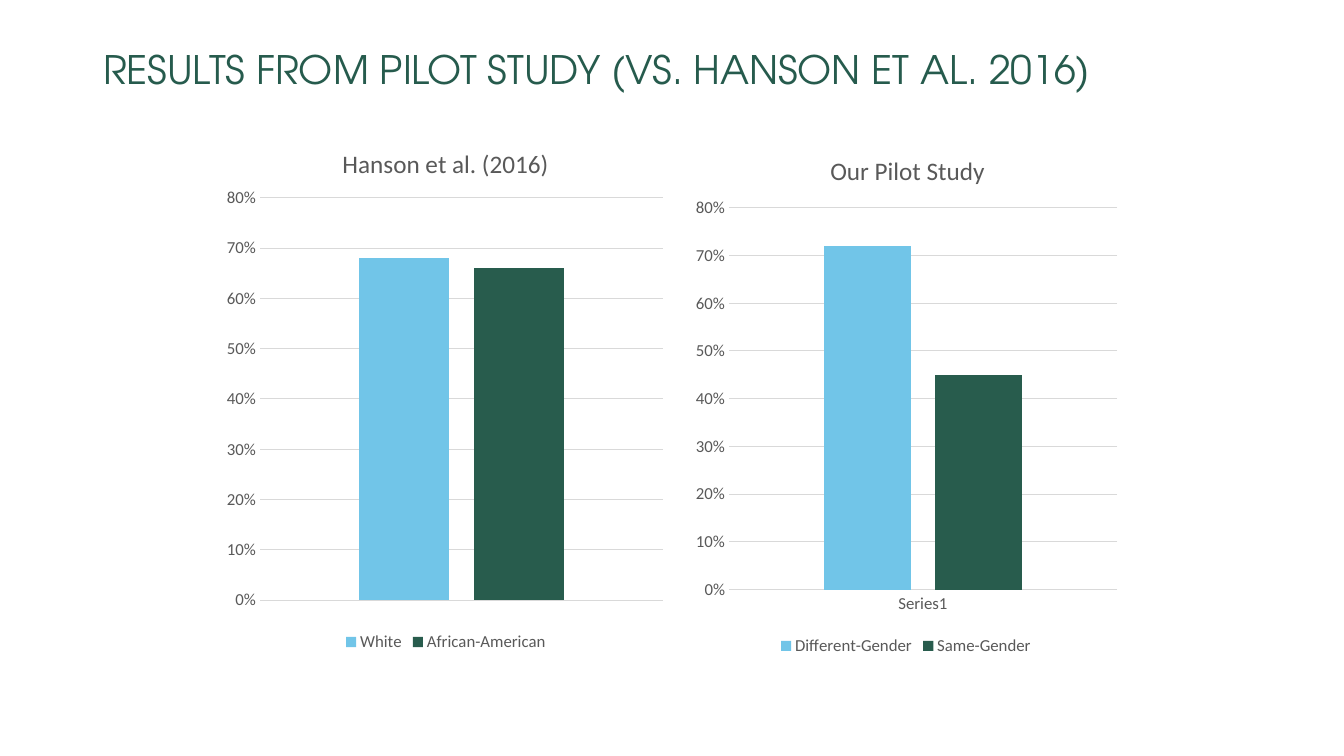
from lxml import etree
from pptx import Presentation
from pptx.chart.data import CategoryChartData
from pptx.dml.color import RGBColor
from pptx.enum.chart import XL_CHART_TYPE as Kind
from pptx.enum.chart import XL_LEGEND_POSITION as Place
from pptx.enum.chart import XL_TICK_MARK as Tick
from pptx.enum.text import MSO_ANCHOR as Anchor
from pptx.enum.text import PP_ALIGN as Align
from pptx.oxml.ns import qn
from pptx.util import Pt

SCALE = 914400 / 100.8
TITLE_GREEN = RGBColor(0x26, 0x5B, 0x4D)
BAR_GREEN = RGBColor(0x28, 0x5C, 0x4D)
BLUE = RGBColor(0x71, 0xC5, 0xE8)
GRAY = RGBColor(0x59, 0x59, 0x59)
GRID = RGBColor(0xD9, 0xD9, 0xD9)


def px(n):
    return round(n * SCALE)


def set_font(font, size, color, name="Calibri"):
    font.size = Pt(size)
    font.name = name
    font.bold = False
    font.color.rgb = color


def set_line(line):
    line.color.rgb = GRID
    line.width = Pt(0.75)


def add_title(slide, text, box):
    title = slide.shapes.title
    title.left, title.top, title.width, title.height = map(px, box)
    frame = title.text_frame
    frame.word_wrap = True
    frame.vertical_anchor = Anchor.MIDDLE
    para = frame.paragraphs[0]
    para.alignment = Align.LEFT
    para.line_spacing = 0.9
    run = para.add_run()
    run.text = text
    set_font(run.font, 28, TITLE_GREEN, "TeX Gyre Adventor")


def set_layout(parent, index, **parts):
    """Place a chart part by fractions of the chart's size."""
    for old in parent.findall(qn("c:layout")):
        parent.remove(old)
    layout = etree.Element(qn("c:layout"))
    manual = etree.SubElement(layout, qn("c:manualLayout"))
    if "w" in parts:
        etree.SubElement(manual, qn("c:layoutTarget")).set("val", "inner")
    for key in "xy":
        etree.SubElement(manual, qn(f"c:{key}Mode")).set("val", "edge")
    for key, value in parts.items():
        etree.SubElement(manual, qn(f"c:{key}")).set("val", f"{value:.3f}")
    parent.insert(index, layout)


def add_bars(slide, name, label, series, box, head, plot_box):
    left, top, width, height = box
    data = CategoryChartData(number_format="0%")
    data.categories = [label]
    for key, value in series:
        data.add_series(key, [value])
    chart = slide.shapes.add_chart(
        Kind.COLUMN_CLUSTERED, *map(px, box), data).chart
    set_font(chart.font, 12, GRAY)

    # Heading
    run = chart.chart_title.text_frame.paragraphs[0].add_run()
    run.text = name
    set_font(run.font, 18, GRAY)
    chart.chart_title.include_in_layout = False
    x, y = head
    set_layout(chart.chart_title._element, 1,
               x=(x - left) / width, y=(y - top) / height)

    # Bars
    plot = chart.plots[0]
    plot.gap_width = 219
    plot.overlap = -27
    plot.vary_by_categories = False
    for bar, color in zip(plot.series, (BLUE, BAR_GREEN)):
        bar.format.fill.solid()
        bar.format.fill.fore_color.rgb = color
    x, y, w, h = plot_box
    set_layout(chart._chartSpace.chart.plotArea, 0,
               x=(x - left) / width, y=(y - top) / height,
               w=w / width, h=h / height)

    # Axes
    for axis in (chart.category_axis, chart.value_axis):
        axis.major_tick_mark = axis.minor_tick_mark = Tick.NONE
        set_font(axis.tick_labels.font, 12, GRAY)
    set_line(chart.category_axis.format.line)
    scale = chart.value_axis
    scale.minimum_scale, scale.maximum_scale = 0, 0.8
    scale.major_unit = 0.1
    scale.tick_labels.number_format = "0%"
    scale.tick_labels.number_format_is_linked = False
    scale.format.line.fill.background()
    set_line(scale.major_gridlines.format.line)

    # Legend
    chart.has_legend = True
    chart.legend.position = Place.BOTTOM
    chart.legend.include_in_layout = False
    set_font(chart.legend.font, 12, GRAY)
    return chart


def main():
    deck = Presentation()
    deck.slide_width, deck.slide_height = px(1344), px(756)
    slide = deck.slides.add_slide(deck.slide_layouts[5])
    add_title(slide, "RESULTS FROM PILOT STUDY (VS. HANSON ET AL. 2016)",
              (93, -1, 1159, 146))

    # Earlier study
    hanson = add_bars(
        slide, "Hanson et al. (2016)", "1",
        [("White", 0.68), ("African-American", 0.66)],
        (219, 119, 454, 537), (338, 142), (260, 198, 403, 402))
    hanson.category_axis.visible = False

    # Pilot study
    add_bars(
        slide, "Our Pilot Study", "Series1",
        [("Different-Gender", 0.72), ("Same-Gender", 0.45)],
        (687, 123, 438, 537), (826, 149), (729, 208, 388, 382))
    deck.save("out.pptx")


if __name__ == "__main__":
    main()
